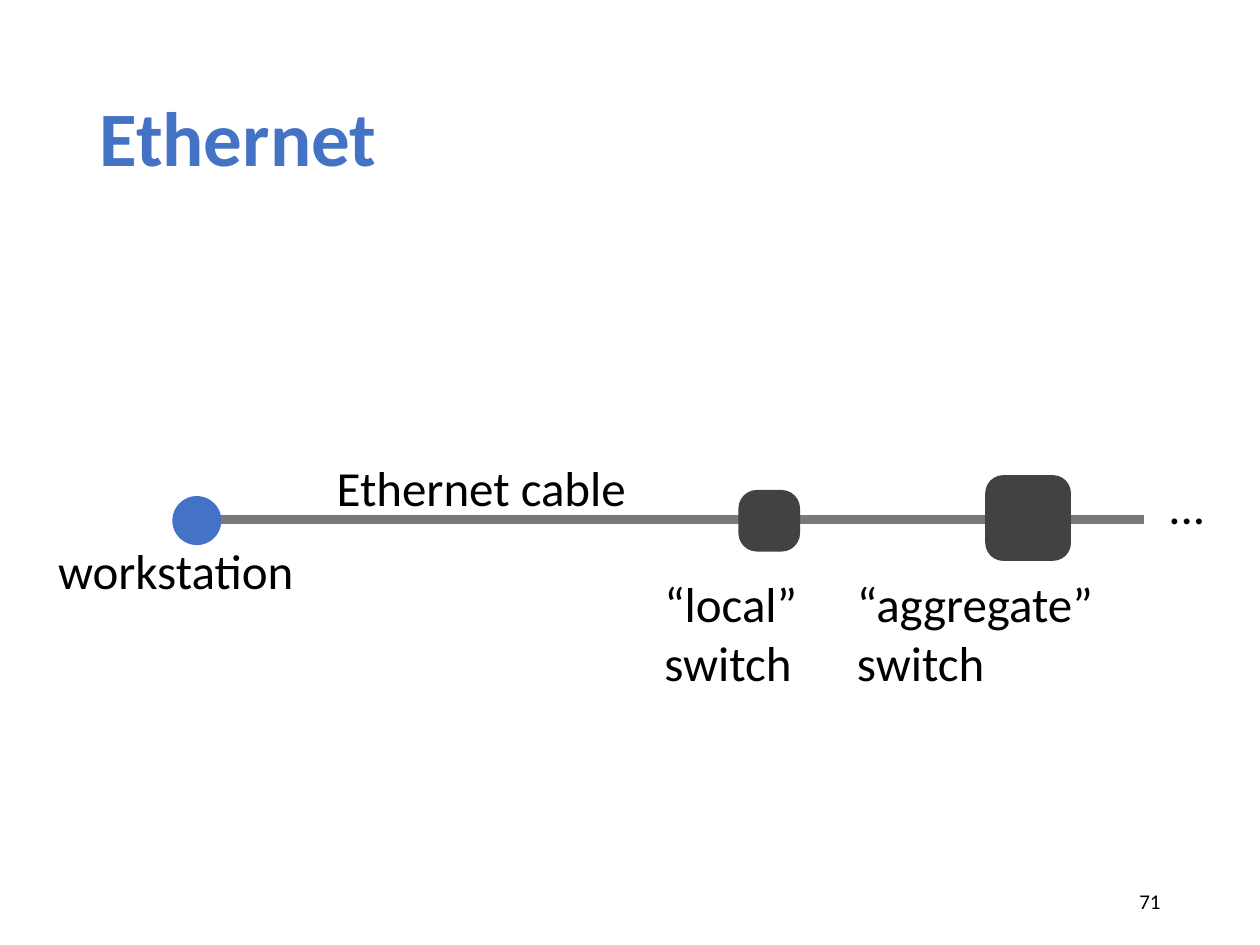
"""Build the Ethernet slide: a workstation cabled to two switches."""
import dataclasses
import typing

import pptx
import pptx.dml.color
import pptx.enum.shapes
import pptx.enum.text
import pptx.oxml.ns
import pptx.util

Pt = pptx.util.Pt
Kind = pptx.enum.shapes.MSO_SHAPE
Align = pptx.enum.text.PP_ALIGN
Fit = pptx.enum.text.MSO_AUTO_SIZE
Box = tuple[float, float, float, float]


@dataclasses.dataclass(frozen=True)
class Theme:
    font: str = "Calibri"
    blue: str = "4472C4"
    dark: str = "424242"
    gray: str = "797979"
    black: str = "000000"
    head: float = 44
    body: float = 28
    small: float = 12


@dataclasses.dataclass(frozen=True)
class Node:
    kind: typing.Any
    box: Box
    color: str
    round: float | None = None


@dataclasses.dataclass(frozen=True)
class Label:
    text: str
    box: Box
    size: float
    wrap: bool = True
    align: typing.Any = Align.LEFT
    inset: tuple[float, float] = (3, 3)


THEME = Theme()
CABLE = (113.8, 653.8, 296.7)
NODES = [
    Node(Kind.OVAL, (98.5, 283.5, 28, 28), THEME.blue),
    Node(Kind.ROUNDED_RECTANGLE, (563, 271.5, 49, 49), THEME.dark, 0.21),
    Node(Kind.ROUNDED_RECTANGLE, (422, 280, 35.2, 35.2), THEME.dark, 0.3),
]
LABELS = [
    Label("workstation", (30.2, 306, 165, 39.6), THEME.body),
    Label("“aggregate” switch", (486.7, 324.7, 202.3, 73.4), THEME.body),
    Label("Ethernet cable", (189.4, 258.5, 195, 39.6), THEME.body),
    Label("“local” switch", (376.6, 324.7, 124.6, 73.4), THEME.body),
    Label("...", (664.6, 268.6, 28.8, 39.6), THEME.body, wrap=False),
    Label("71", (508.3, 500.4, 162, 28.8), THEME.small,
          align=Align.RIGHT, inset=(7.2, 3.6)),
]


def rgb(code: str) -> pptx.dml.color.RGBColor:
    """Turn a hex code into a colour."""
    return pptx.dml.color.RGBColor.from_string(code)


def apply(item: typing.Any, form: dict[str, typing.Any]) -> None:
    """Set each attribute named in the format values."""
    for name, value in form.items():
        setattr(item, name, value)


def write(shape: typing.Any, label: Label, color: str, bold: bool = False) -> None:
    """Fill a text shape with one styled paragraph."""
    side, edge = map(Pt, label.inset)
    frame = shape.text_frame
    frame.text = label.text
    apply(frame, {
        "auto_size": Fit.NONE,
        "word_wrap": label.wrap,
        "vertical_anchor": pptx.enum.text.MSO_ANCHOR.MIDDLE,
        "margin_left": side, "margin_right": side,
        "margin_top": edge, "margin_bottom": edge,
    })
    line = frame.paragraphs[0]
    line.alignment = label.align
    font = line.runs[0].font
    apply(font, {"name": THEME.font, "size": Pt(label.size), "bold": bold})
    font.color.rgb = rgb(color)


def add_title(slide: typing.Any) -> None:
    """Place and format the title."""
    label = Label("Ethernet", (49.7, 28.8, 620.6, 104.4), THEME.head, inset=(7.2, 3.6))
    title = slide.shapes.title
    apply(title, dict(zip(("left", "top", "width", "height"), map(Pt, label.box))))
    write(title, label, THEME.blue, bold=True)
    title.text_frame.paragraphs[0].line_spacing = 0.9


def add_cable(slide: typing.Any) -> None:
    """Draw the cable that joins the nodes."""
    start, end, level = map(Pt, CABLE)
    kind = pptx.enum.shapes.MSO_CONNECTOR.STRAIGHT
    cable = slide.shapes.add_connector(kind, start, level, end, level)
    cable.line.width = Pt(5)
    cable.line.color.rgb = rgb(THEME.gray)
    props = cable._element.spPr
    props.append(props.makeelement(pptx.oxml.ns.qn("a:effectLst"), {}))


def add_node(slide: typing.Any, node: Node) -> None:
    """Draw one plain network node."""
    shape = slide.shapes.add_shape(node.kind, *map(Pt, node.box))
    shape.shadow.inherit = False
    shape.fill.solid()
    shape.fill.fore_color.rgb = rgb(node.color)
    shape.line.fill.background()
    if node.round is not None:
        shape.adjustments[0] = node.round


def add_label(slide: typing.Any, label: Label) -> None:
    """Add one text label."""
    write(slide.shapes.add_textbox(*map(Pt, label.box)), label, THEME.black)


def main() -> None:
    """Build and save the slide."""
    deck = pptx.Presentation()
    apply(deck, {"slide_width": Pt(720), "slide_height": Pt(540)})
    slide = deck.slides.add_slide(deck.slide_layouts[5])
    add_title(slide)
    add_cable(slide)
    for node in NODES:
        add_node(slide, node)
    for label in LABELS:
        add_label(slide, label)
    deck.save("out.pptx")


if __name__ == "__main__":
    main()
